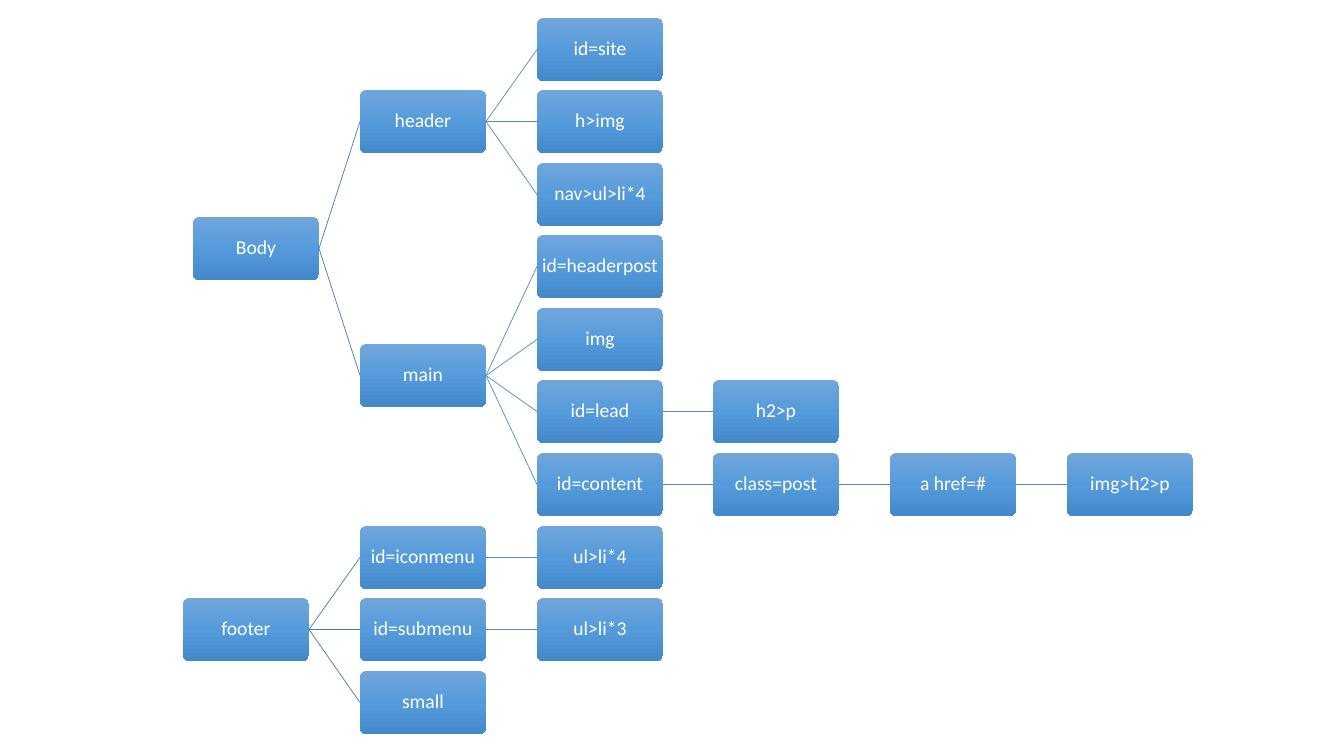
import copy

import lxml.etree
import pptx
import pptx.dml.color
import pptx.enum.shapes
import pptx.enum.text
import pptx.oxml.ns
import pptx.util

RGBColor = pptx.dml.color.RGBColor
WHITE = RGBColor(0xFF, 0xFF, 0xFF)
BOX_GRADIENT = [
    (0, RGBColor(0x71, 0xA6, 0xDB)),
    (0.5, RGBColor(0x55, 0x9B, 0xDB)),
    (1, RGBColor(0x44, 0x8A, 0xCA)),
]
ROOT_LINE = RGBColor(0x49, 0x7C, 0xAB)
BRANCH_LINE = RGBColor(0x53, 0x8D, 0xC1)

# Grid in pixels
BOX_WIDTH, BOX_HEIGHT = 126, 63
GRID_LEFT, COLUMN_STEP = 183, 176.8
GRID_TOP, ROW_STEP = 17.5, 72.6
BODY_SHIFT = 10

# Label, parent label, column, row
NODES = [
    ("Body", None, 0, 2.75),
    ("header", "Body", 1, 1),
    ("id=site", "header", 2, 0),
    ("h>img", "header", 2, 1),
    ("nav>ul>li*4", "header", 2, 2),
    ("main", "Body", 1, 4.5),
    ("id=headerpost", "main", 2, 3),
    ("img", "main", 2, 4),
    ("id=lead", "main", 2, 5),
    ("h2>p", "id=lead", 3, 5),
    ("id=content", "main", 2, 6),
    ("class=post", "id=content", 3, 6),
    ("a href=#", "class=post", 4, 6),
    ("img>h2>p", "a href=#", 5, 6),
    ("footer", None, 0, 8),
    ("id=iconmenu", "footer", 1, 7),
    ("ul>li*4", "id=iconmenu", 2, 7),
    ("id=submenu", "footer", 1, 8),
    ("ul>li*3", "id=submenu", 2, 8),
    ("small", "footer", 1, 9),
]


def px(pixels):
    return pptx.util.Emu(round(pixels * 914400 / 100.8))


deck = pptx.Presentation()
deck.slide_width, deck.slide_height = px(1344), px(756)
page = deck.slides.add_slide(deck.slide_layouts[6])

boxes = {}
for label, parent, column, row in NODES:
    # Box with vertical gradient
    left = round(GRID_LEFT + column * COLUMN_STEP)
    if label == "Body":
        left += BODY_SHIFT
    top = round(GRID_TOP + row * ROW_STEP)
    box = page.shapes.add_shape(
        pptx.enum.shapes.MSO_SHAPE.ROUNDED_RECTANGLE,
        px(left), px(top), px(BOX_WIDTH), px(BOX_HEIGHT))
    boxes[label] = box
    box.adjustments[0] = 0.1
    box.shadow.inherit = False
    box.line.fill.background()
    box.fill.gradient()
    box.fill.gradient_angle = 270
    stop_list = box._element.spPr.find(".//" + pptx.oxml.ns.qn("a:gsLst"))
    stop_list.append(copy.deepcopy(stop_list[0]))
    for stop, (position, color) in zip(box.fill.gradient_stops, BOX_GRADIENT):
        stop.position = position
        stop.color.rgb = color

    # Label
    frame = box.text_frame
    frame.word_wrap = True
    frame.vertical_anchor = pptx.enum.text.MSO_ANCHOR.MIDDLE
    frame.margin_left = frame.margin_right = px(1)
    frame.margin_top = frame.margin_bottom = px(1)
    para = frame.paragraphs[0]
    para.alignment = pptx.enum.text.PP_ALIGN.CENTER
    para.line_spacing = 0.9
    span = para.add_run()
    span.text = label
    span.font.name = "Calibri"
    span.font.size = pptx.util.Pt(14)
    span.font.color.rgb = WHITE

    # Line from the parent's right side to this box's left side
    if parent:
        source = boxes[parent]
        link = page.shapes.add_connector(
            pptx.enum.shapes.MSO_CONNECTOR.STRAIGHT,
            source.left + source.width, source.top + source.height // 2,
            box.left, box.top + box.height // 2)
        link.begin_connect(source, 3)
        link.end_connect(box, 1)
        link.line.width = pptx.util.Pt(0.5)
        link.line.color.rgb = ROOT_LINE if column == 1 else BRANCH_LINE
        lxml.etree.SubElement(
            link._element.spPr, pptx.oxml.ns.qn("a:effectLst"))

deck.save("out.pptx")
